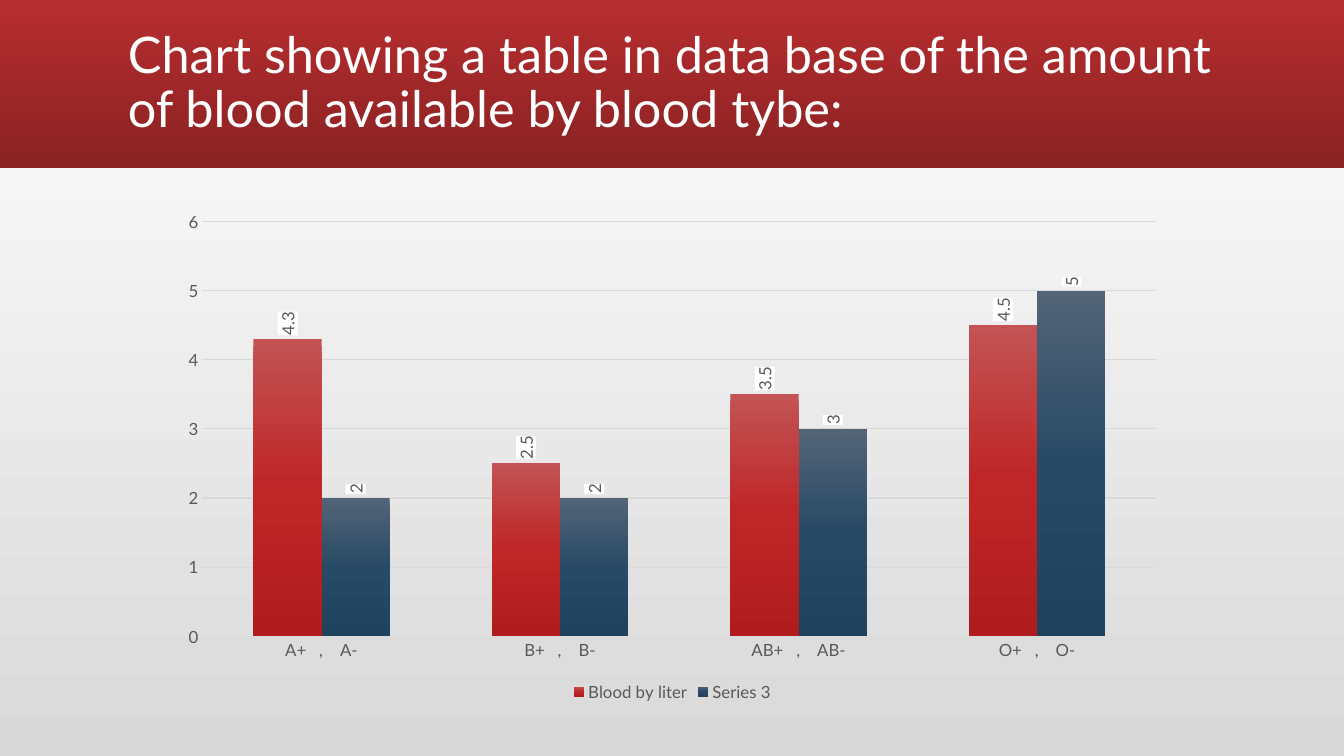
from lxml import etree
from pptx import Presentation, util as u
from pptx.chart import data as cd
from pptx.dml import color as dc
from pptx.enum import chart as ec, shapes as es, text as et
from pptx.oxml import ns

TITLE = "Chart showing a table in data base of the amount of blood available by blood tybe:"
CATS = ["A+   ,    A-", "B+   ,    B-", "AB+   ,    AB-", "O+   ,    O-"]
BLOOD = [
    ("Blood by liter", [4.3, 2.5, 3.5, 4.5], ["C35354", "BF2628", "B01C1E"]),
    ("Series 3", [2, 2, 3, 5], ["536477", "284A66", "21425D"]),
]
PAGE = ["FFFFFF", "D9D9D9"]
BAND = ["B82D2F", "8A2223"]
FACE, GREY, RULE, WHITE = "Lato", "595959", "D9D9D9", "FFFFFF"


def rgb(code):
    return dc.RGBColor.from_string(code)


def box(*nums):
    return [u.Inches(n) for n in nums]


def put(item, **vals):
    for key, val in vals.items():
        setattr(item, key, val)


def ink(font, size, code):
    put(font, name=FACE, size=u.Pt(size))
    font.color.rgb = rgb(code)


def rule(line, width):
    line.color.rgb = rgb(RULE)
    line.width = u.Pt(width)


def solid(node, code):
    fill = etree.SubElement(node, ns.qn("a:solidFill"))
    etree.SubElement(fill, ns.qn("a:srgbClr"), val=code)


def shade(fill, node, codes):
    fill.gradient()
    fill.gradient_angle = 270
    stops = next(node.iter(ns.qn("a:gsLst")))
    for old in list(stops):
        stops.remove(old)
    for i, code in enumerate(codes):
        spot = str(100000 * i // (len(codes) - 1))
        stop = etree.SubElement(stops, ns.qn("a:gs"), pos=spot)
        etree.SubElement(stop, ns.qn("a:srgbClr"), val=code)


def label(row):
    tags = row.data_labels
    put(tags, show_value=True, position=ec.XL_LABEL_POSITION.OUTSIDE_END)
    ink(tags.font, 12, GREY)
    text = tags._element.find(ns.qn("c:txPr"))
    body = text.find(ns.qn("a:bodyPr"))
    body.set("rot", "-5400000")
    body.set("vert", "horz")
    back = etree.Element(ns.qn("c:spPr"))
    solid(back, WHITE)
    text.addprevious(back)


def head(slide):
    band = slide.shapes.add_shape(es.MSO_SHAPE.RECTANGLE, *box(0, 0, 13.33, 1.67))
    band.shadow.inherit = False
    band.line.fill.background()
    shade(band.fill, band._element, BAND)
    frame = slide.shapes.add_textbox(*box(1.17, 0.11, 11, 1.45)).text_frame
    put(frame, word_wrap=True, vertical_anchor=et.MSO_ANCHOR.MIDDLE)
    para = frame.paragraphs[0]
    put(para, text=TITLE, line_spacing=0.9)
    ink(para.runs[0].font, 36, WHITE)


def graph(slide):
    data = cd.CategoryChartData()
    data.categories = CATS
    for name, vals, _ in BLOOD:
        data.add_series(name, vals)
    kind = ec.XL_CHART_TYPE.COLUMN_CLUSTERED
    chart = slide.shapes.add_chart(kind, *box(1.67, 2, 10, 5), data).chart
    put(chart, has_title=False, has_legend=True)
    ink(chart.font, 10, "000000")
    put(chart.legend, position=ec.XL_LEGEND_POSITION.BOTTOM, include_in_layout=False)
    ink(chart.legend.font, 12, GREY)
    cat, val = chart.category_axis, chart.value_axis
    for axis in (cat, val):
        put(axis, major_tick_mark=ec.XL_TICK_MARK.NONE, minor_tick_mark=ec.XL_TICK_MARK.NONE)
        ink(axis.tick_labels.font, 12, GREY)
    rule(cat.format.line, 1)
    put(val, minimum_scale=0, maximum_scale=6, major_unit=1, has_major_gridlines=True)
    rule(val.major_gridlines.format.line, 0.75)
    val.format.line.fill.background()
    plot = chart.plots[0]
    put(plot, gap_width=150, overlap=0, vary_by_categories=False)
    for row, (_, _, codes) in zip(plot.series, BLOOD):
        shade(row.format.fill, row._element, codes)
        label(row)


def main():
    deck = Presentation()
    put(deck, slide_width=u.Inches(13.33), slide_height=u.Inches(7.5))
    slide = deck.slides.add_slide(deck.slide_layouts[6])
    shade(slide.background.fill, slide._element, PAGE)
    head(slide)
    graph(slide)
    deck.save("out.pptx")


if __name__ == "__main__":
    main()
